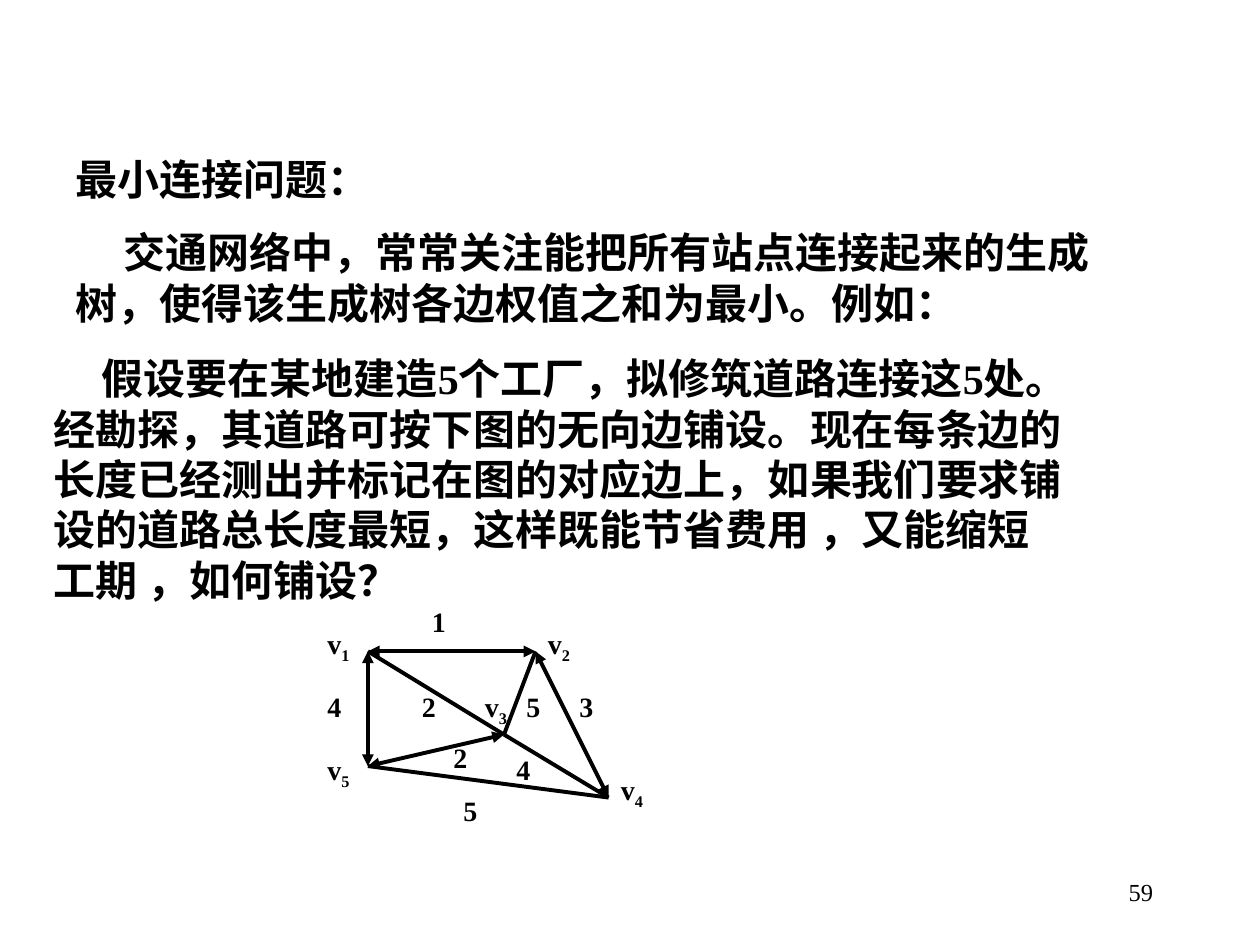
"""Build the slide that introduces the minimum connection problem with a weighted graph."""
from dataclasses import dataclass

from lxml.etree import SubElement
from pptx import Presentation
from pptx.dml.color import RGBColor
from pptx.enum.lang import MSO_LANGUAGE_ID
from pptx.enum.shapes import MSO_CONNECTOR
from pptx.enum.text import MSO_ANCHOR, MSO_AUTO_SIZE, PP_ALIGN
from pptx.oxml.ns import qn
from pptx.util import Inches, Pt


@dataclass(frozen=True)
class Theme:
    font: str = "Times New Roman"
    ink: RGBColor = RGBColor(0, 0, 0)
    body: Pt = Pt(24)
    label: Pt = Pt(16)
    number: Pt = Pt(14)
    edge: Pt = Pt(2.25)


theme = Theme()


def add_text(shapes, box, runs, size, bold=True, anchor=MSO_ANCHOR.TOP):
    shape = shapes.add_textbox(*(Inches(length) for length in box))
    frame = shape.text_frame
    frame.word_wrap = True
    frame.auto_size = MSO_AUTO_SIZE.SHAPE_TO_FIT_TEXT
    frame.vertical_anchor = anchor
    paragraph = frame.paragraphs[0]
    for text in runs:
        run = paragraph.add_run()
        run.text = text
        run.font.name = theme.font
        run.font.size = size
        run.font.bold = bold
        run.font.color.rgb = theme.ink
        run.font.language_id = MSO_LANGUAGE_ID.SIMPLIFIED_CHINESE
    return paragraph


def add_edge(shapes, start, end, arrows):
    points = (Inches(length) for length in (*start, *end))
    connector = shapes.add_connector(MSO_CONNECTOR.STRAIGHT, *points)
    connector.line.color.rgb = theme.ink
    connector.line.width = theme.edge
    properties = connector._element.spPr
    if arrows:
        for tag in ("a:headEnd", "a:tailEnd"):
            SubElement(properties.find(qn("a:ln")), qn(tag), type="triangle")
    SubElement(properties, qn("a:effectLst"))


presentation = Presentation()
presentation.slide_width = Inches(10)
presentation.slide_height = Inches(7.5)
slide = presentation.slides.add_slide(presentation.slide_layouts[6])

page_number = add_text(
    slide.shapes, (7.17, 6.83, 2.08, 0.5), ["59"], theme.number, False, MSO_ANCHOR.MIDDLE
)
page_number.alignment = PP_ALIGN.RIGHT

passages = [
    (0.5, 1.17, 0.5, 0, MSO_ANCHOR.TOP, "最小连接问题："),
    (0.5, 1.75, 0.9, 0.38, MSO_ANCHOR.TOP,
     "交通网络中，常常关注能把所有站点连接起来的生成树，使得该生成树各边权值之和为最小。例如："),
    (0.33, 2.75, 2.1, 0.38, MSO_ANCHOR.MIDDLE,
     "假设要在某地建造5个工厂，拟修筑道路连接这5处。经勘探，其道路可按下图的无向边铺设。"
     "现在每条边的长度已经测出并标记在图的对应边上，如果我们要求铺设的道路总长度最短，"
     "这样既能节省费用 ，又能缩短工期 ，如何铺设？"),
]
for left, top, height, indent, anchor, text in passages:
    passage = add_text(
        slide.shapes, (left, top, 8.25, height), [text], theme.body, anchor=anchor
    )
    properties = passage._p.get_or_add_pPr()
    properties.set("indent", str(Inches(indent)))
    properties.set("hangingPunct", "0")

graph = slide.shapes.add_group_shape().shapes
vertices = {
    "1": (2.92, 5.17), "2": (4.25, 5.17), "3": (4, 5.83), "4": (4.83, 6.33), "5": (2.92, 6.08),
}
edges = [
    ("1", "5", True), ("1", "3", False), ("1", "2", True), ("2", "3", False),
    ("5", "4", False), ("3", "4", False), ("2", "4", True), ("5", "3", True),
]
for start, end, arrows in edges:
    add_edge(graph, vertices[start], vertices[end], arrows)

vertex_labels = {
    "1": (2.5, 4.92), "2": (4.25, 4.92), "3": (3.75, 5.42), "4": (4.83, 6.08), "5": (2.5, 5.92),
}
for index, position in vertex_labels.items():
    label = add_text(graph, (*position, 0.52, 0.41), ["v", index], theme.label)
    label.runs[1].font._element.set("baseline", "-25000")

weights = [
    ("1", 3.33, 4.75), ("2", 3.5, 5.83), ("2", 3.25, 5.42), ("4", 2.5, 5.42),
    ("3", 4.5, 5.42), ("4", 4, 5.92), ("5", 3.58, 6.25), ("5", 4.08, 5.42),
]
for weight, left, top in weights:
    add_text(graph, (left, top, 0.52, 0.37), [weight], theme.label)

presentation.save("out.pptx")
